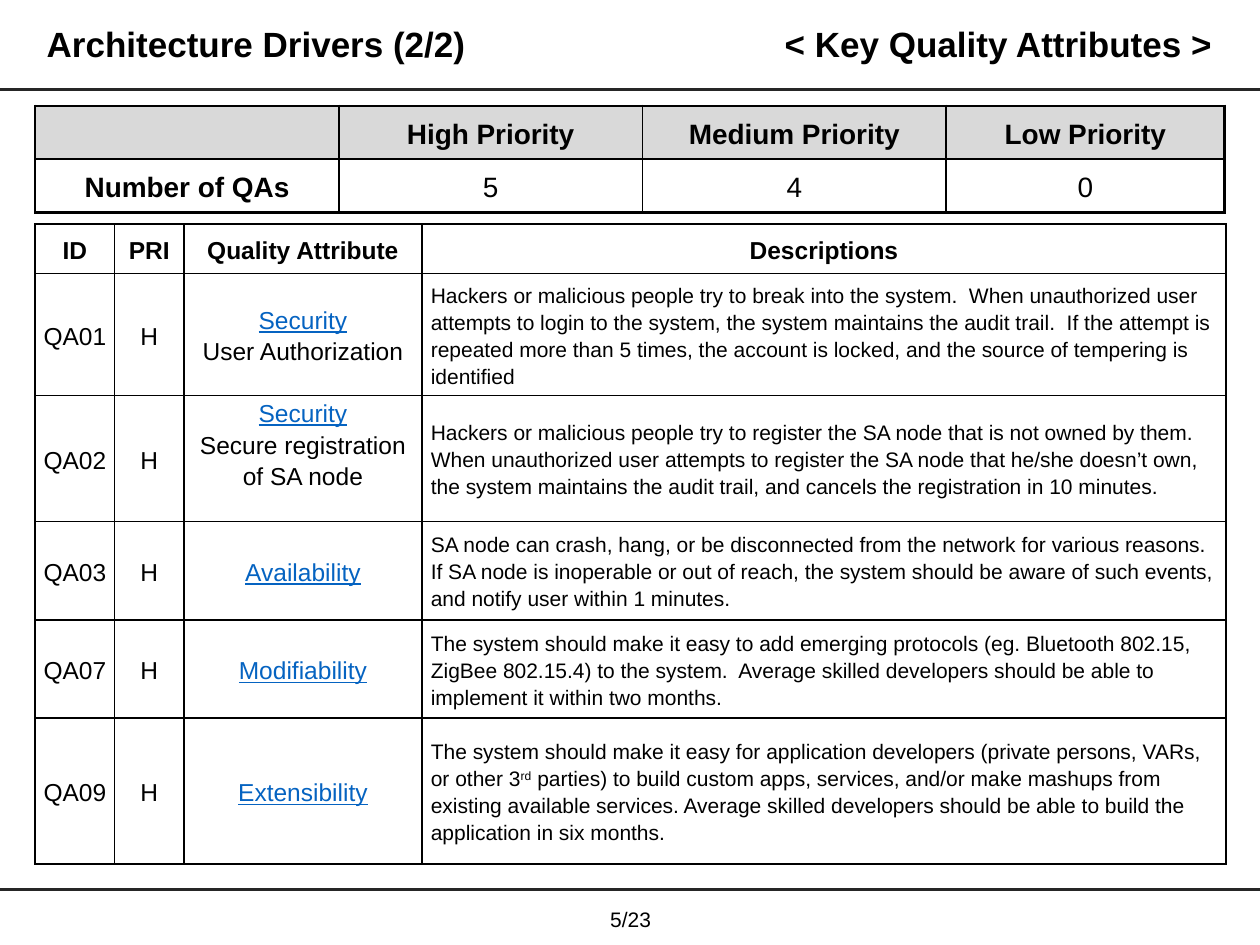
from dataclasses import dataclass

from lxml.etree import SubElement
from pptx import Presentation
from pptx.dml.color import RGBColor
from pptx.enum.shapes import MSO_CONNECTOR
from pptx.enum.text import MSO_ANCHOR, MSO_AUTO_SIZE, PP_ALIGN
from pptx.oxml.ns import qn
from pptx.util import Inches, Pt


@dataclass(frozen=True)
class Theme:
    font: str = "Arial"
    ink: str = "000000"
    rule: str = "262626"
    link: str = "0563C1"
    header_fill: str = "D9D9D9"
    title: int = 20
    summary: int = 16
    label: int = 14
    small: int = 12
    thin: float = 1
    thick: float = 1.5
    rule_width: float = 1.75


THEME = Theme()


def add_text(p, text, size, bold=False, color=THEME.ink, underline=False,
             superscript=False, align=None, spacing=None):
    """Append a formatted run to a paragraph."""
    if align is not None:
        p.alignment = align
    if spacing is not None:
        p.line_spacing = spacing
    r = p.add_run()
    r.text = text
    r.font.name = THEME.font
    r.font.size = Pt(size)
    r.font.bold = bold
    r.font.underline = underline
    r.font.color.rgb = RGBColor.from_string(color)
    if superscript:
        r.font._element.set("baseline", "30000")


class SlideBuilder:
    def __init__(self, slide, theme):
        self.s = slide
        self.theme = theme

    def heading(self, sp, text, left, top, width, height, align):
        sp.left, sp.top = Inches(left), Inches(top)
        sp.width, sp.height = Inches(width), Inches(height)
        tf = sp.text_frame
        tf.auto_size = MSO_AUTO_SIZE.NONE
        tf.vertical_anchor = MSO_ANCHOR.MIDDLE
        p = tf.paragraphs[0]
        p.space_before = Pt(0)
        add_text(p, text, self.theme.title, bold=True, align=align, spacing=0.9)

    def rule(self, y):
        line = self.s.shapes.add_connector(
            MSO_CONNECTOR.STRAIGHT, 0, Inches(y), Inches(10), Inches(y))
        line.line.color.rgb = RGBColor.from_string(self.theme.rule)
        line.line.width = Pt(self.theme.rule_width)
        SubElement(line._element.spPr, qn("a:effectLst"))

    def page_number(self, text, left, top, width, height):
        sp = self.s.shapes.add_textbox(
            Inches(left), Inches(top), Inches(width), Inches(height))
        tf = sp.text_frame
        tf.word_wrap = True
        tf.vertical_anchor = MSO_ANCHOR.MIDDLE
        add_text(tf.paragraphs[0], text, self.theme.small, align=PP_ALIGN.CENTER)

    def table(self, left, top, widths, heights):
        """Add a plain table: thin inner lines, thick outer frame."""
        frame = self.s.shapes.add_table(
            len(heights), len(widths), Inches(left), Inches(top),
            Inches(sum(widths)), Inches(sum(heights)))
        table = frame.table
        table.first_row = table.horz_banding = False
        for column, width in zip(table.columns, widths):
            column.width = Inches(width)
        for row, height in zip(table.rows, heights):
            row.height = Inches(height)
        last_row, last_col = len(heights) - 1, len(widths) - 1
        for i in range(last_row + 1):
            for j in range(last_col + 1):
                cell = table.cell(i, j)
                self.borders(cell, lnL=j == 0, lnR=j == last_col,
                             lnT=i == 0, lnB=i == last_row)
                cell.fill.background()
        return table

    def borders(self, cell, **outer_sides):
        tcPr = cell._tc.get_or_add_tcPr()
        for side, outer in outer_sides.items():
            width = self.theme.thick if outer else self.theme.thin
            ln = SubElement(tcPr, qn(f"a:{side}"), w=str(Pt(width)))
            fill = SubElement(ln, qn("a:solidFill"))
            SubElement(fill, qn("a:srgbClr"), val=self.theme.ink)

    def cell(self, cell, paragraphs, size, inset_x, inset_y=0,
             anchor=MSO_ANCHOR.MIDDLE, align=PP_ALIGN.CENTER, bold=False):
        """Fill a cell; each paragraph is a list of (text, format) runs."""
        cell.margin_left = cell.margin_right = Inches(inset_x)
        cell.margin_top = cell.margin_bottom = Inches(inset_y)
        cell.vertical_anchor = anchor
        tf = cell.text_frame
        for i, runs in enumerate(paragraphs):
            p = tf.add_paragraph() if i else tf.paragraphs[0]
            for text, fmt in runs:
                add_text(p, text, size, bold=bold, align=align, spacing=1.15, **fmt)


SUMMARY = [
    ["", "High Priority", "Medium Priority", "Low Priority"],
    ["Number of QAs", "5", "4", "0"],
]
HEADERS = ["ID", "PRI", "Quality Attribute", "Descriptions"]
SUPERSCRIPT = {"superscript": True}

# ID, priority, attribute, detail, description runs
ATTRIBUTES = [
    ("QA01", "H", "Security", "User Authorization", [
        ("Hackers or malicious people try to break into the system.  When "
         "unauthorized user attempts to login to the system, the system maintains "
         "the audit trail.  If the attempt is repeated more than 5 times, the "
         "account is locked, and the source of tempering is identified", {})]),
    ("QA02", "H", "Security", "Secure registration of SA node", [
        ("Hackers or malicious people try to register the SA node that is not "
         "owned by them.  When unauthorized user attempts to register the SA node "
         "that he/she doesn’t own, the system maintains the audit trail, and "
         "cancels the registration in 10 minutes.", {})]),
    ("QA03", "H", "Availability", "", [
        ("SA node can crash, hang, or be disconnected from the network for various "
         "reasons.  If SA node is inoperable or out of reach, the system should be "
         "aware of such events, and notify user within 1 minutes.", {})]),
    ("QA07", "H", "Modifiability", "", [
        ("The system should make it easy to add emerging protocols (eg. Bluetooth "
         "802.15, ZigBee 802.15.4) to the system.  Average skilled developers "
         "should be able to implement it within two months.", {})]),
    ("QA09", "H", "Extensibility", "", [
        ("The system should make it easy for application developers (private "
         "persons, VARs, or other 3", {}),
        ("rd", SUPERSCRIPT),
        (" parties) to build custom apps, services, and/or make mashups from "
         "existing available services. Average skilled developers should be able "
         "to build the application in six months.", {})]),
]


def main():
    prs = Presentation()
    prs.slide_width, prs.slide_height = Inches(10), Inches(7.5)
    s = prs.slides.add_slide(prs.slide_layouts[0])
    builder = SlideBuilder(s, THEME)

    # Frame lines and headings
    for y in (0.71, 7.06):
        builder.rule(y)
    builder.heading(s.shapes.title, "Architecture Drivers (2/2)",
                    0.27, 0.1, 5.6, 0.53, PP_ALIGN.LEFT)
    builder.heading(s.placeholders[1], "< Key Quality Attributes >",
                    5.87, 0.1, 3.85, 0.53, PP_ALIGN.RIGHT)

    # Priority summary
    summary = builder.table(0.28, 0.84, [2.41, 2.41, 2.41, 2.21], [0.42, 0.42])
    for i, row in enumerate(SUMMARY):
        for j, text in enumerate(row):
            cell = summary.cell(i, j)
            if i == 0:
                cell.fill.solid()
                cell.fill.fore_color.rgb = RGBColor.from_string(THEME.header_fill)
            if text:
                builder.cell(cell, [[(text, {})]], THEME.summary, 0.07, 0.07,
                             anchor=MSO_ANCHOR.TOP, bold=i == 0 or j == 0)

    # Quality attributes
    details = builder.table(0.28, 1.78, [0.63, 0.55, 1.89, 6.38],
                            [0.39, 0.97, 1, 0.78, 0.78, 1.16])
    for j, text in enumerate(HEADERS):
        builder.cell(details.cell(0, j), [[(text, {})]], THEME.label, 0.04, bold=True)
    link = {"color": THEME.link, "underline": True}
    for i, (qa_id, priority, name, detail, description) in enumerate(ATTRIBUTES, 1):
        attribute = [[(name, link)]] + ([[(detail, {})]] if detail else [])
        for j, content in enumerate([[[(qa_id, {})]], [[(priority, {})]], attribute]):
            builder.cell(details.cell(i, j), content, THEME.label, 0.04)
        builder.cell(details.cell(i, 3), [description], THEME.small, 0.07,
                     align=PP_ALIGN.LEFT)
    details.cell(2, 2).margin_bottom = Inches(0.24)

    # Footer
    builder.page_number("5/23", 4.62, 7.14, 0.77, 0.31)
    prs.save("out.pptx")


if __name__ == "__main__":
    main()
